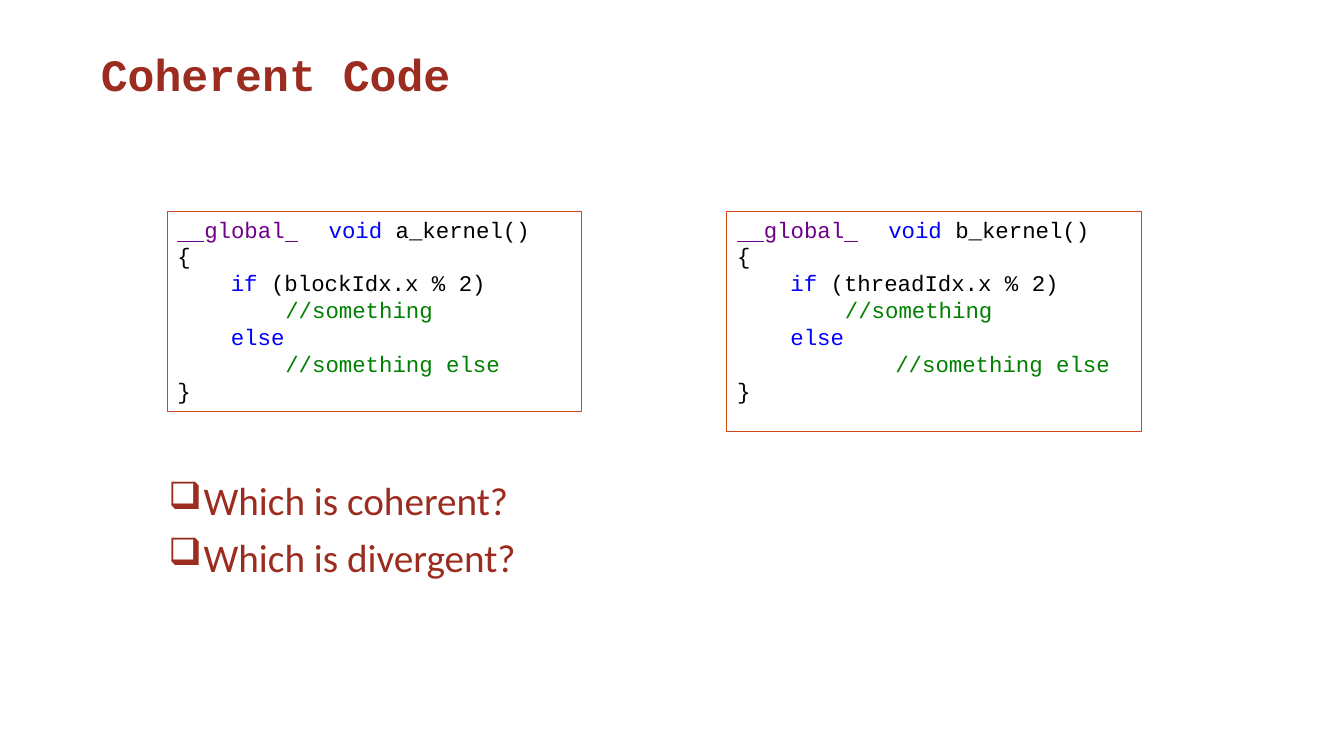
"""Build the slide comparing coherent and divergent GPU kernels."""
import pptx
import pptx.dml.color
import pptx.enum.shapes
import pptx.oxml.ns
import pptx.util
from lxml import etree

Inches = pptx.util.Inches
Pt = pptx.util.Pt
qn = pptx.oxml.ns.qn

COLORS = {
    "heading": "9B2C1F",
    "border": "D24717",
    "paper": "FFFFFF",
    "qualifier": "6E0089",
    "keyword": "0000FF",
    "plain": "000000",
    "comment": "008000",
}


class SlideBuilder:
    """Hold the slide style and draw each kind of element."""

    code_font, body_font = "Courier New", "Calibri"

    def __init__(self, prs):
        self.s = prs.slides.add_slide(prs.slide_layouts[6])

    def color(self, name):
        return pptx.dml.color.RGBColor.from_string(COLORS[name])

    def frame(self, sp, top):
        tf = sp.text_frame
        tf.word_wrap = True
        tf.margin_left = tf.margin_right = tf.margin_bottom = 0
        tf.margin_top = Inches(top)
        tf.vertical_anchor = pptx.enum.text.MSO_ANCHOR.TOP
        return tf

    def textbox(self, box, top):
        return self.frame(self.s.shapes.add_textbox(*map(Inches, box)), top)

    def style(self, r, font, size, color, bold=False, underline=False):
        r.font.name, r.font.size = font, Pt(size)
        r.font.bold, r.font.underline = bold, underline
        r.font.color.rgb = self.color(color)

    def indent(self, p, left, first=0):
        pPr = p._p.get_or_add_pPr()
        pPr.set("marL", str(Inches(left)))
        pPr.set("indent", str(Inches(first)))
        return pPr

    def tab(self, pPr, pos):
        tabs = etree.SubElement(pPr, qn("a:tabLst"))
        etree.SubElement(tabs, qn("a:tab"), pos=str(Inches(pos)), algn="l")

    def title(self, text, box):
        p = self.textbox(box, 0.02).paragraphs[0]
        p.text = text
        self.style(p.runs[0], self.code_font, 32, "heading", bold=True)

    def bullets(self, items, box):
        tf = self.textbox(box, 0.11)
        for i, item in enumerate(items):
            p = tf.add_paragraph() if i else tf.paragraphs[0]
            p.text = item
            if i:
                p.space_before = Pt(6.8)
            pPr = self.indent(p, 0.36, -0.35)
            etree.SubElement(pPr, qn("a:buSzPct"), val="96000")
            etree.SubElement(pPr, qn("a:buChar"), char="❑")
            self.tab(pPr, 0.36)
            self.style(p.runs[0], self.body_font, 28, "heading")

    def code(self, lines, box):
        sp = self.s.shapes.add_shape(
            pptx.enum.shapes.MSO_SHAPE.RECTANGLE, *map(Inches, box))
        sp.shadow.inherit = False
        sp.fill.solid()
        sp.fill.fore_color.rgb = self.color("paper")
        sp.line.color.rgb = self.color("border")
        sp.line.width = Pt(0.72)
        tf = self.frame(sp, 0.04)
        for i, (left, runs) in enumerate(lines):
            p = tf.add_paragraph() if i else tf.paragraphs[0]
            p.alignment = pptx.enum.text.PP_ALIGN.LEFT
            pPr = self.indent(p, left)
            if i == 0:
                self.tab(pPr, 1.56)
            for text, color in runs:
                r = p.add_run()
                r.text = text
                self.style(r, self.code_font, 16, color, underline=text.isspace())


def kernel(name, index, else_indent):
    """Return the indented, coloured lines of one kernel."""
    return [
        (0.1, [("  ", "qualifier"), ("global", "qualifier"), (" \t", "qualifier"),
               ("void ", "keyword"), (f"{name}()", "plain")]),
        (0.1, [("{", "plain")]),
        (0.63, [("if ", "keyword"), (f"({index} % 2)", "plain")]),
        (1.17, [("//something", "comment")]),
        (0.63, [("else", "keyword")]),
        (else_indent, [("//something else", "comment")]),
        (0.1, [("}", "plain")]),
    ]


def main():
    """Create the presentation."""
    prs = pptx.Presentation()
    prs.slide_width, prs.slide_height = Inches(13.33), Inches(7.5)
    slide = SlideBuilder(prs)
    slide.title("Coherent Code", (1, 0.44, 4, 0.56))
    slide.bullets(["Which is coherent?", "Which is divergent?"],
                  (1.66, 4.62, 3.8, 1.15))
    slide.code(kernel("b_kernel", "threadIdx.x", 1.67), (7.21, 2.1, 4.11, 2.18))
    slide.code(kernel("a_kernel", "blockIdx.x", 1.17), (1.66, 2.1, 4.11, 1.98))
    prs.save("out.pptx")


if __name__ == "__main__":
    main()
